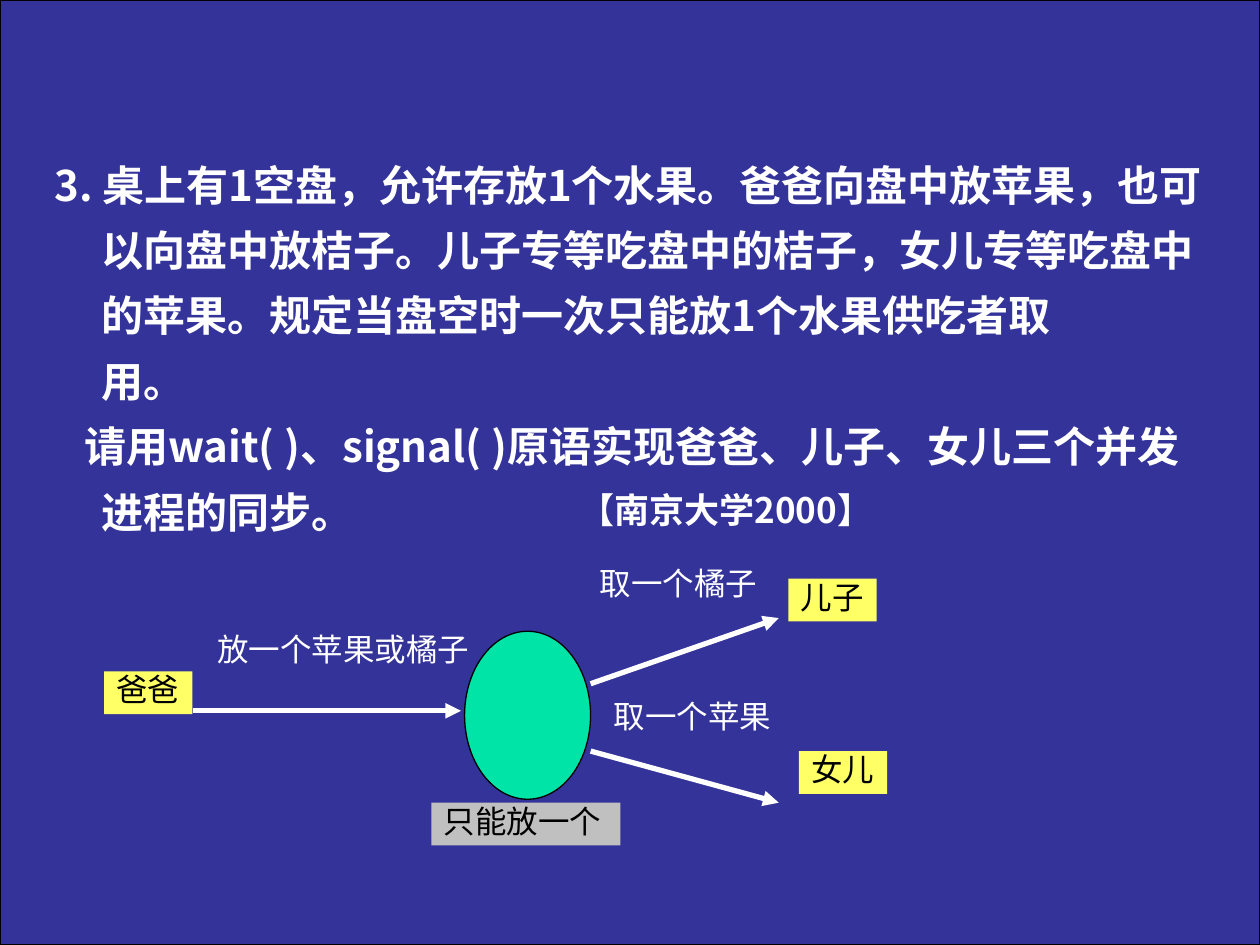
from lxml.etree import SubElement
from pptx import Presentation
from pptx.dml.color import RGBColor
from pptx.enum.shapes import MSO_CONNECTOR, MSO_SHAPE
from pptx.enum.text import MSO_ANCHOR, MSO_AUTO_SIZE, PP_ALIGN
from pptx.oxml.ns import qn
from pptx.util import Pt

COLORS = {"blue": "333399", "black": "000000", "white": "FFFFFF",
          "plate": "00E4A8", "yellow": "FFFF66", "gray": "C0C0C0"}
BODY_FONT, LABEL_FONT = "Noto Sans CJK SC", "Arial"

QUESTION = ("3. 桌上有1空盘，允许存放1个水果。爸爸向盘中放苹果，也可以向盘中放桔子。"
            "儿子专等吃盘中的桔子，女儿专等吃盘中的苹果。"
            "规定当盘空时一次只能放1个水果供吃者取")
QUESTION_END = "用。"
TASK = "请用wait( )、signal( )原语实现爸爸、儿子、女儿三个并发进程的同步。"
CREDIT = "【南京大学2000】"


def color(name):
    return RGBColor.from_string(COLORS[name])


def set_all(target, values):
    for name, value in values.items():
        setattr(target, name, value)


def add_span(para, text, size, ink, font, bold=False):
    span = para.add_run()
    span.text = text
    set_all(span.font, {"size": Pt(size), "bold": bold, "name": font})
    span.font.color.rgb = color(ink)
    east_asian = SubElement(span.font._element, qn("a:ea"))
    east_asian.set("typeface", BODY_FONT)


def add_filled(page, kind, box, fill, outline=None):
    shape = page.shapes.add_shape(kind, *map(Pt, box))
    shape.shadow.inherit = False
    shape.fill.solid()
    shape.fill.fore_color.rgb = color(fill)
    if outline:
        shape.line.color.rgb = color(outline)
        shape.line.width = Pt(0.75)
    else:
        shape.line.fill.background()
    return shape


def add_label(page, text, box, fill=None):
    """Dark text on a filled tag, or white text with no fill."""
    if fill:
        label = add_filled(page, MSO_SHAPE.RECTANGLE, box, fill)
    else:
        label = page.shapes.add_textbox(*map(Pt, box))
    set_all(label.text_frame, {
        "word_wrap": bool(fill), "vertical_anchor": MSO_ANCHOR.TOP,
        "auto_size": MSO_AUTO_SIZE.SHAPE_TO_FIT_TEXT})
    para = label.text_frame.paragraphs[0]
    set_all(para, {"alignment": PP_ALIGN.LEFT, "line_spacing": 0.8})
    add_span(para, text, 18, "black" if fill else "white", LABEL_FONT)


def add_arrow(page, start, end):
    arrow = page.shapes.add_connector(
        MSO_CONNECTOR.STRAIGHT, *map(Pt, (*start, *end)))
    arrow.line.color.rgb = color("white")
    arrow.line.width = Pt(3)
    SubElement(arrow.line._get_or_add_ln(), qn("a:tailEnd"), type="triangle")
    SubElement(arrow.element.spPr, qn("a:effectLst"))


def format_paragraph(para, margin, indent):
    set_all(para, {"line_spacing": 1.3, "space_before": Pt(0),
                   "alignment": PP_ALIGN.LEFT})
    properties = para._p.get_or_add_pPr()
    properties.set("marL", str(Pt(margin)))
    properties.set("indent", str(Pt(indent)))
    SubElement(properties, qn("a:buNone"))


def fill_question(body, box):
    set_all(body, dict(zip(("left", "top", "width", "height"), map(Pt, box))))
    frame = body.text_frame
    set_all(frame, {
        "margin_left": 0, "margin_top": 0, "margin_bottom": 0,
        "margin_right": Pt(7.2), "word_wrap": True,
        "vertical_anchor": MSO_ANCHOR.MIDDLE,
        "auto_size": MSO_AUTO_SIZE.SHAPE_TO_FIT_TEXT})
    question, task = frame.paragraphs[0], frame.add_paragraph()
    format_paragraph(question, 27, -27)
    add_span(question, QUESTION, 24, "white", BODY_FONT, True)
    question.add_line_break()
    add_span(question, QUESTION_END, 24, "white", BODY_FONT, True)
    format_paragraph(task, 27, -10)
    add_span(task, TASK, 24, "white", BODY_FONT, True)


def add_credit(page, box):
    frame = page.shapes.add_textbox(*map(Pt, box)).text_frame
    set_all(frame, {"margin_left": 0, "margin_top": 0, "margin_right": 0,
                    "margin_bottom": 0, "word_wrap": True})
    add_span(frame.paragraphs[0], CREDIT, 20, "white", BODY_FONT, True)


def draw_fruit_flow(page, box):
    """Father, plate, son and daughter, joined by arrows."""
    left, top, _, _ = box

    def place(x, y, *size):
        return (left + x, top + y, *size)

    add_filled(page, MSO_SHAPE.OVAL, place(206, 37.5, 72, 96),
               "plate", "black")
    for start, end in (((51, 83), (204, 83)),
                       ((278, 67.5), (385.5, 30)),
                       ((278, 106), (385.5, 135.5))):
        add_arrow(page, place(*start), place(*end))
    for text, x, y, width, fill in (
            ("爸爸", 0, 60.5, 50.5, "yellow"),
            ("女儿", 397, 106, 50.5, "yellow"),
            ("儿子", 391, 7.5, 50.5, "yellow"),
            ("只能放一个", 187, 135.5, 108, "gray"),
            ("放一个苹果或橘子", 57.5, 37.5, 158.5, None),
            ("取一个橘子", 276, 0, 104.5, None),
            ("取一个苹果", 284, 75.5, 104.5, None)):
        add_label(page, text, place(x, y, width, 24.5), fill)


def main():
    deck = Presentation()
    deck.slide_width, deck.slide_height = Pt(720), Pt(540)
    page = deck.slides.add_slide(deck.slide_layouts[1])
    title, body = page.placeholders
    title.element.getparent().remove(title.element)
    backdrop = add_filled(page, MSO_SHAPE.RECTANGLE, (0, 0, 720, 540),
                          "blue", "black")
    body.element.addprevious(backdrop.element)
    fill_question(body, (31, 101, 664.5, 187))
    add_credit(page, (331, 279, 180, 29))
    draw_fruit_flow(page, (59.5, 323.2, 447.5, 160))
    deck.save("out.pptx")


if __name__ == "__main__":
    main()
